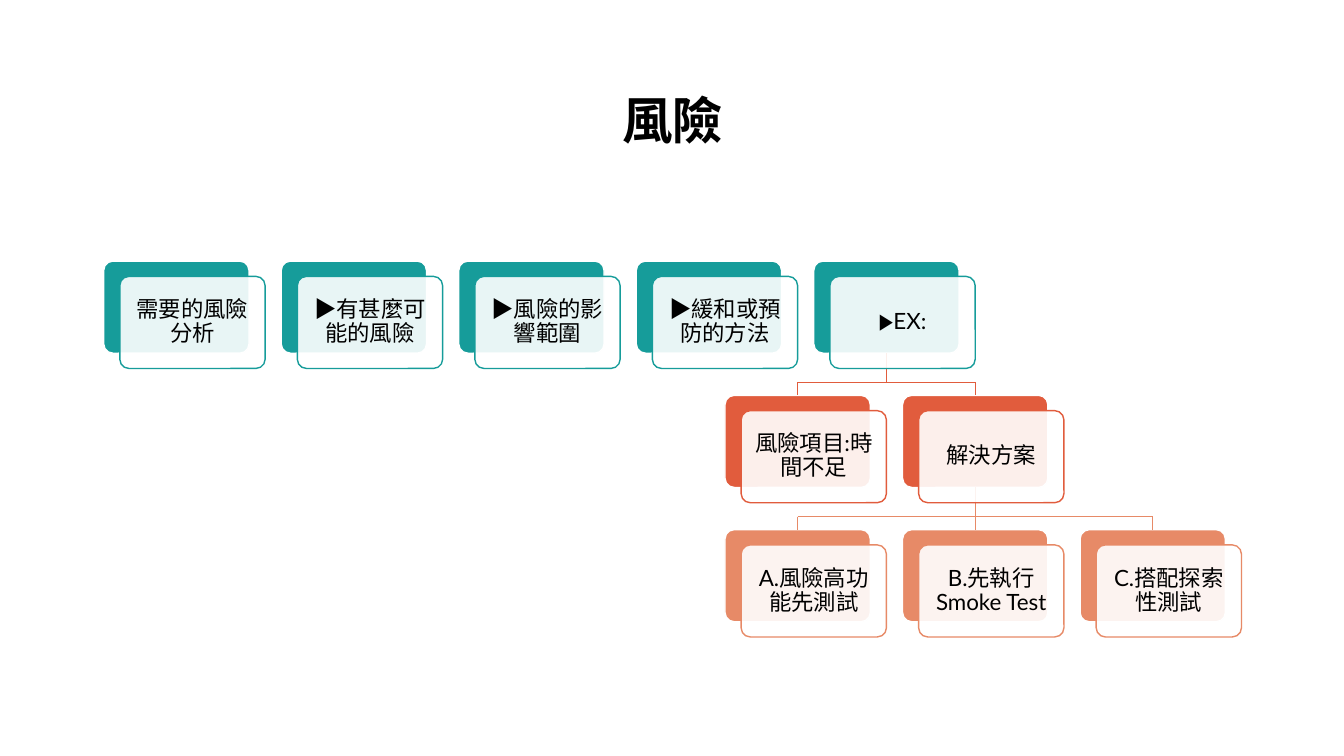
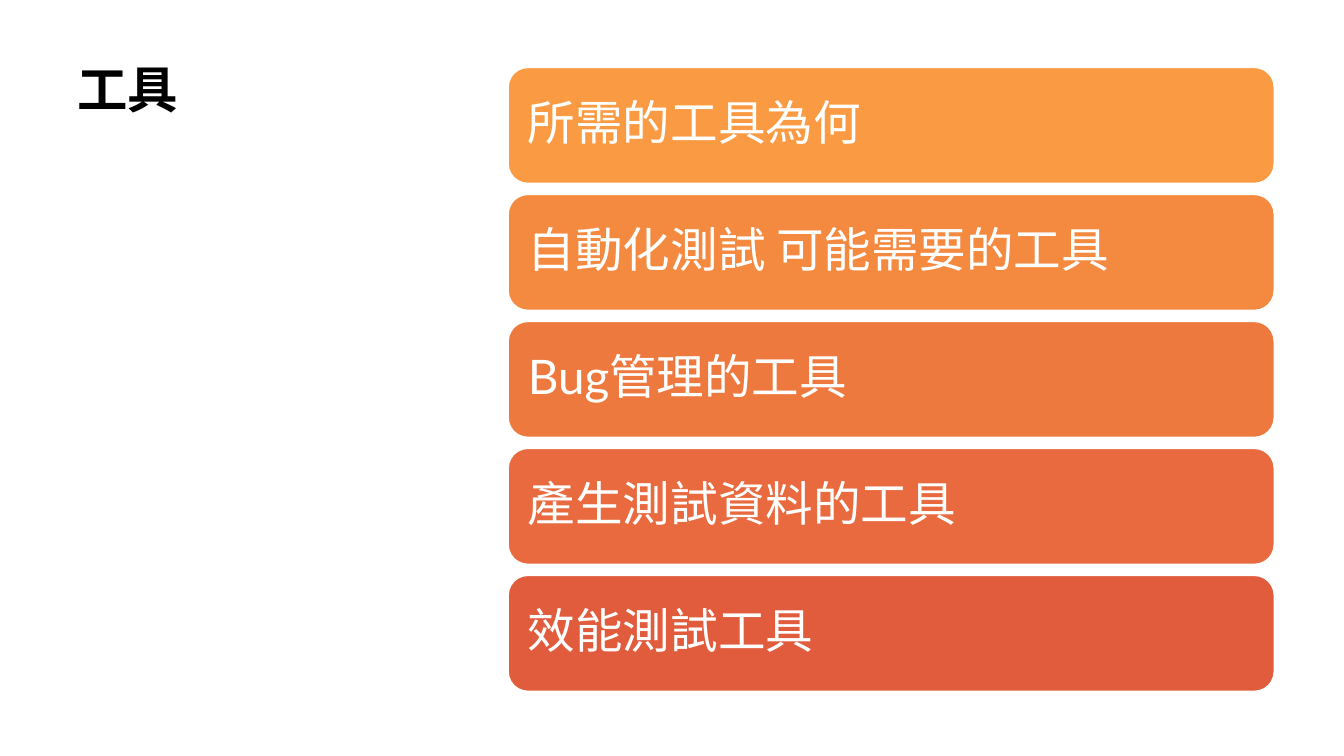
from pptx import Presentation
from pptx.dml.color import RGBColor
from pptx.enum.shapes import MSO_CONNECTOR, MSO_SHAPE
from pptx.enum.text import MSO_ANCHOR, PP_ALIGN
from pptx.oxml.ns import qn
from pptx.util import Pt
from lxml import etree

ROUND = MSO_SHAPE.ROUNDED_RECTANGLE
STRAIGHT = MSO_CONNECTOR.STRAIGHT
TOP, MIDDLE = MSO_ANCHOR.TOP, MSO_ANCHOR.MIDDLE
LEFT, CENTER = PP_ALIGN.LEFT, PP_ALIGN.CENTER

THEME = {
    "white": "FFFFFF",
    "line": Pt(1),
    "levels": ["169C9A", "E15C3D", "E78A67"],
    "bars": ["FA9A42", "F48940", "EE793F", "E86A3E", "E15C3D"],
    "title": {"color": "000000", "font": {"name": "Lato", "size": Pt(36), "bold": True}},
    "node": {"color": "000000", "font": {"name": "Lato", "size": Pt(16)}},
    "bar": {"color": "FFFFFF", "font": {"name": "Lato", "size": Pt(34)}},
}


def write(sp, text, style, anchor, align, inset=None):
    tf = sp.text_frame
    frame = {"word_wrap": True, "vertical_anchor": anchor}
    if inset is not None:
        for side in ("left", "top", "right", "bottom"):
            frame["margin_" + side] = Pt(inset)
    for name, value in frame.items():
        setattr(tf, name, value)
    p = tf.paragraphs[0]
    p.alignment, p.line_spacing = align, 0.9
    r = p.add_run()
    r.text = text
    for name, value in THEME[style]["font"].items():
        setattr(r.font, name, value)
    r.font.color.rgb = RGBColor.from_string(THEME[style]["color"])


def add_box(s, x, y, w, h, fill, line, radius):
    sp = s.shapes.add_shape(ROUND, Pt(x), Pt(y), Pt(w), Pt(h))
    sp.shadow.inherit = False
    sp.adjustments[0] = radius
    sp.fill.solid()
    sp.fill.fore_color.rgb = RGBColor.from_string(fill)
    sp.line.color.rgb = RGBColor.from_string(line)
    sp.line.width = THEME["line"]
    return sp


prs = Presentation()
prs.slide_width, prs.slide_height = Pt(960), Pt(540)
blank = prs.slide_layouts[6]

# Slide 1: risk hierarchy
s = prs.slides.add_slide(blank)
title = s.shapes.add_textbox(Pt(120), Pt(43.2), Pt(721.4), Pt(89.3))
write(title, "風險", "title", MIDDLE, CENTER)

node_w, node_h = 103.8, 65.8
left, top, step_x, step_y = 74.1, 186.5, 126.8, 95.9
shift_x, shift_y = 11.5, 10.9
bus_drop = 20.9

# Each row: first column, labels
rows = [
    (0, ["需要的風險分析", "▶有甚麼可能的風險", "▶風險的影響範圍", "▶緩和或預防的方法", "▶EX:"]),
    (3.5, ["風險項目:時間不足", "解決方案"]),
    (3.5, ["A.風險高功能先測試", "B.先執行Smoke Test", "C.搭配探索性測試"]),
]

# Back plates
plates = []
for level, (first, labels) in enumerate(rows):
    plates.append([
        add_box(s, left + (first + i) * step_x, top + level * step_y, node_w, node_h,
                THEME["levels"][level], THEME["white"], 0.1)
        for i in range(len(labels))
    ])

# Branches run from the last plate of a row to every plate of the next
for level in (1, 2):
    parent, children = plates[level - 1][-1], plates[level]
    bus_y = parent.top + parent.height + Pt(bus_drop)
    parent_x = parent.left + parent.width // 2
    child_xs = [sp.left + sp.width // 2 for sp in children]
    trunk = s.shapes.add_connector(STRAIGHT, parent_x, parent.top + parent.height, parent_x, bus_y)
    trunk.begin_connect(parent, 2)
    links = [trunk, s.shapes.add_connector(STRAIGHT, child_xs[0], bus_y, child_xs[-1], bus_y)]
    for child, x in zip(children, child_xs):
        drop = s.shapes.add_connector(STRAIGHT, x, bus_y, x, child.top)
        drop.end_connect(child, 0)
        links.append(drop)
    for link in links:
        link.line.color.rgb = RGBColor.from_string(THEME["levels"][level])
        link.line.width = THEME["line"]
        etree.SubElement(link._element.spPr, qn("a:effectLst"))

# Translucent front panels with the labels
for level, (first, labels) in enumerate(rows):
    for i, label in enumerate(labels):
        sp = add_box(s, left + (first + i) * step_x + shift_x, top + level * step_y + shift_y,
                     node_w, node_h, THEME["white"], THEME["levels"][level], 0.1)
        color = sp._element.spPr.find(qn("a:solidFill")).find(qn("a:srgbClr"))
        etree.SubElement(color, qn("a:alpha"), val="90000")
        write(sp, label, "node", MIDDLE, CENTER, 5)

# Slide 2: list of tools
s = prs.slides.add_slide(blank)
title = s.shapes.add_textbox(Pt(48), Pt(43.2), Pt(275), Pt(455.8))
write(title, "工具", "title", TOP, LEFT)

tools = ["所需的工具為何", "自動化測試 可能需要的工具", "Bug管理的工具", "產生測試資料的工具", "效能測試工具"]
bar_h, bar_gap = 82.8, 7.9
for i, (tool, color) in enumerate(zip(tools, THEME["bars"])):
    sp = add_box(s, 363, 48.2 + i * (bar_h + bar_gap), 547.2, bar_h, color, THEME["white"], 0.17)
    write(sp, tool, "bar", MIDDLE, LEFT, 10)

prs.save("out.pptx")
